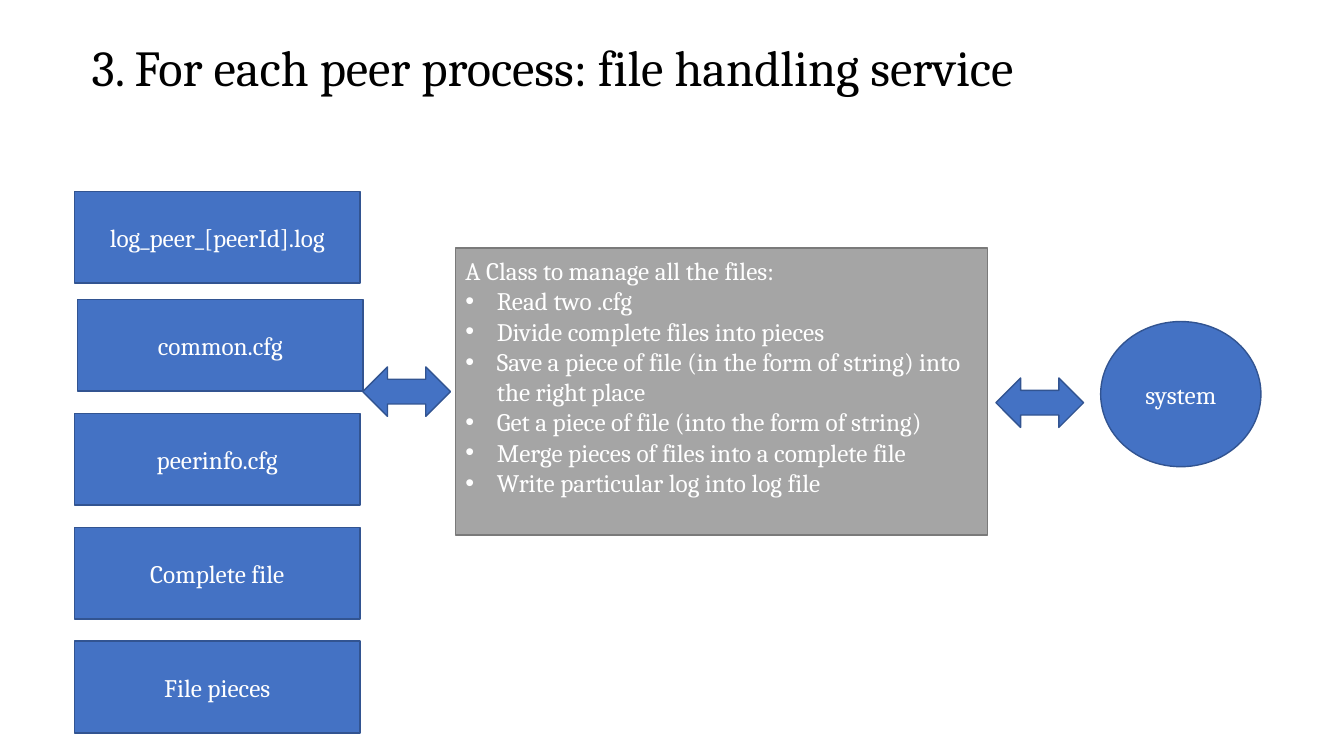
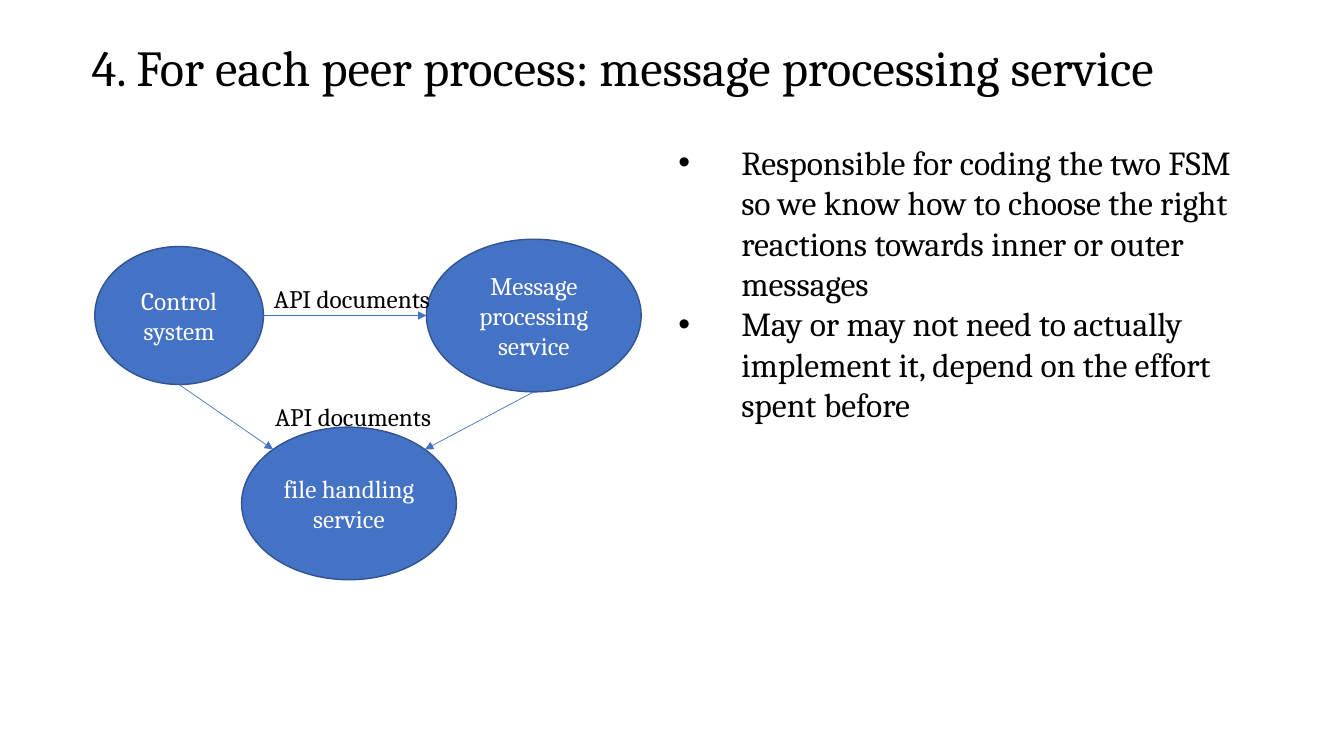
"""Build two slides on the file handling and message processing services of a peer process."""
import dataclasses

import lxml.etree
import pptx
import pptx.dml.color
import pptx.enum.shapes
import pptx.enum.text
import pptx.oxml.ns
import pptx.shapes.autoshape
import pptx.shapes.base
import pptx.slide
import pptx.text.text
import pptx.util

Pt = pptx.util.Pt
RGBColor = pptx.dml.color.RGBColor
Preset = pptx.enum.shapes.MSO_SHAPE
Align = pptx.enum.text.PP_ALIGN
Anchor = pptx.enum.text.MSO_ANCHOR
qn = pptx.oxml.ns.qn

FONT = "Cambria"
BLACK = RGBColor(0x00, 0x00, 0x00)
WHITE = RGBColor(0xFF, 0xFF, 0xFF)
BLUE = RGBColor(0x44, 0x72, 0xC4)
BLUE_EDGE = RGBColor(0x32, 0x54, 0x91)
GRAY = RGBColor(0xA5, 0xA5, 0xA5)
GRAY_EDGE = RGBColor(0x7A, 0x7A, 0x7A)

BOX_LEFT, BOX_WIDTH, BOX_HEIGHT = 53.3, 203.8, 65.5
BOX_TOP, BOX_PITCH = 213.8, 81.4
ARROW_WIDTH, ARROW_HEIGHT = 62.6, 35.3
SERVICE_WIDTH, SERVICE_HEIGHT = 153.4, 109

OVAL_SITES = {
    "top": (0, 0.5, 0),
    "top left": (1, 0.146, 0.146),
    "left": (2, 0, 0.5),
    "bottom": (4, 0.5, 1),
    "right": (6, 1, 0.5),
    "top right": (7, 0.854, 0.146),
}


@dataclasses.dataclass(frozen=True)
class Node:
    """A filled shape, placed in points, with one string per paragraph."""

    preset: Preset
    left: float
    top: float
    width: float
    height: float
    lines: tuple[str, ...] = ()
    fill: RGBColor = BLUE
    edge: RGBColor = BLUE_EDGE


@dataclasses.dataclass(frozen=True)
class Link:
    """An arrow between named sites of two ovals."""

    source: str
    source_site: str
    target: str
    target_site: str


FILE_NODES = [
    Node(Preset.RECTANGLE, BOX_LEFT, 136.8, BOX_WIDTH, BOX_HEIGHT, ("log_peer_[peerId].log",)),
    Node(Preset.RECTANGLE, BOX_LEFT + 2.2, BOX_TOP, BOX_WIDTH, BOX_HEIGHT, ("common.cfg",)),
] + [
    Node(Preset.RECTANGLE, BOX_LEFT, BOX_TOP + row * BOX_PITCH, BOX_WIDTH, BOX_HEIGHT, (name,))
    for row, name in enumerate(("peerinfo.cfg", "Complete file", "File pieces"), start=1)
]
EXCHANGE_NODES = [
    Node(Preset.OVAL, 786.2, 229.7, 114.5, 103.7, ("system",)),
    Node(Preset.LEFT_RIGHT_ARROW, 711.4, 270, ARROW_WIDTH, ARROW_HEIGHT),
    Node(Preset.LEFT_RIGHT_ARROW, 259.2, 262.1, ARROW_WIDTH, ARROW_HEIGHT),
]
MANAGER = Node(Preset.RECTANGLE, 325.4, 177.1, 380.2, 205.2, fill=GRAY, edge=GRAY_EDGE)
MANAGER_TASKS = (
    "Read two .cfg",
    "Divide complete files into pieces",
    "Save a piece of file (in the form of string) into the right place",
    "Get a piece of file (into the form of string)",
    "Merge pieces of files into a complete file",
    "Write particular log into log file",
)
SERVICES = {
    "control": Node(Preset.FLOWCHART_CONNECTOR, 67.7, 176.1, 120.5, 98.6, ("Control system",)),
    "message": Node(Preset.FLOWCHART_CONNECTOR, 304.6, 170.9, SERVICE_WIDTH, SERVICE_HEIGHT,
                    ("Message processing", "service")),
    "file": Node(Preset.FLOWCHART_CONNECTOR, 172.6, 305.1, SERVICE_WIDTH, SERVICE_HEIGHT,
                 ("file handling service",)),
}
LINKS = (
    Link("control", "right", "message", "left"),
    Link("control", "bottom", "file", "top left"),
    Link("message", "bottom", "file", "top right"),
)
DUTIES = (
    "Responsible for coding the two FSM so we know how to choose the right reactions "
    "towards inner or outer messages",
    "May or may not need to actually implement it, depend on the effort spent before",
)


def write_lines(frame: pptx.text.text.TextFrame, lines: tuple[str, ...], *, size: float = 18,
                color: RGBColor = BLACK, align: Align = Align.LEFT, indent: float = 0,
                plain_lines: int = 0) -> None:
    """Write paragraphs, bulleted after the plain lines when an indent is given."""
    for index, line in enumerate(lines):
        para = frame.paragraphs[0] if index == 0 else frame.add_paragraph()
        para.alignment = align
        span = para.add_run()
        span.text = line
        span.font.name = FONT
        span.font.size = Pt(size)
        span.font.color.rgb = color
        if indent and index >= plain_lines:
            properties = para._p.get_or_add_pPr()
            properties.set("marL", str(Pt(indent)))
            properties.set("indent", str(-Pt(indent)))
            lxml.etree.SubElement(properties, qn("a:buFont")).set("typeface", "Arial")
            lxml.etree.SubElement(properties, qn("a:buChar")).set("char", "•")


def add_text(page: pptx.slide.Slide, left: float, top: float, width: float, height: float,
             *lines: str, size: float = 18, indent: float = 0, wrap: bool = False) -> None:
    """Add a text box in black."""
    box = page.shapes.add_textbox(Pt(left), Pt(top), Pt(width), Pt(height))
    box.text_frame.word_wrap = wrap
    box.text_frame.auto_size = pptx.enum.text.MSO_AUTO_SIZE.SHAPE_TO_FIT_TEXT
    write_lines(box.text_frame, lines, size=size, indent=indent)


def add_node(page: pptx.slide.Slide, node: Node) -> pptx.shapes.autoshape.Shape:
    """Add a filled shape with centred white text."""
    shape = page.shapes.add_shape(node.preset, Pt(node.left), Pt(node.top),
                                  Pt(node.width), Pt(node.height))
    shape.shadow.inherit = False
    shape.fill.solid()
    shape.fill.fore_color.rgb = node.fill
    shape.line.color.rgb = node.edge
    shape.line.width = Pt(1)
    shape.text_frame.word_wrap = True
    shape.text_frame.vertical_anchor = Anchor.MIDDLE
    write_lines(shape.text_frame, node.lines, color=WHITE, align=Align.CENTER)
    return shape


def site_point(shape: pptx.shapes.base.BaseShape, site: str) -> tuple[int, int]:
    """Return the position of a connection site on an oval."""
    _, across, down = OVAL_SITES[site]
    return shape.left + round(shape.width * across), shape.top + round(shape.height * down)


def add_link(page: pptx.slide.Slide, ovals: dict[str, pptx.shapes.autoshape.Shape],
             link: Link) -> None:
    """Draw an arrow joined to the connection sites of two ovals."""
    source, target = ovals[link.source], ovals[link.target]
    connector = page.shapes.add_connector(
        pptx.enum.shapes.MSO_CONNECTOR.STRAIGHT,
        *site_point(source, link.source_site), *site_point(target, link.target_site))
    connector.line.color.rgb = BLUE
    connector.line.width = Pt(0.5)
    lxml.etree.SubElement(connector.line._get_or_add_ln(), qn("a:tailEnd")).set("type", "triangle")
    lxml.etree.SubElement(connector._element.spPr, qn("a:effectLst"))
    joints = connector._element.find(".//" + qn("p:cNvCxnSpPr"))
    for tag, shape, site in (("a:stCxn", source, link.source_site),
                             ("a:endCxn", target, link.target_site)):
        joint = lxml.etree.SubElement(joints, qn(tag))
        joint.set("id", str(shape.shape_id))
        joint.set("idx", str(OVAL_SITES[site][0]))


def add_page(deck: pptx.presentation.Presentation, title: str, title_width: float) -> pptx.slide.Slide:
    """Add a blank page with the shared title style."""
    page = deck.slides.add_slide(deck.slide_layouts[6])
    add_text(page, 58.3, 22.3, title_width, 51, title, size=36)
    return page


def build_file_page(deck: pptx.presentation.Presentation) -> None:
    """Build the page on the file handling service."""
    page = add_page(deck, "3. For each peer process: file handling service", 716.4)
    manager = add_node(page, MANAGER)
    manager.text_frame.margin_bottom = Pt(25.2)
    write_lines(manager.text_frame, ("A Class to manage all the files:", *MANAGER_TASKS),
                color=WHITE, indent=22.5, plain_lines=1)
    for node in EXCHANGE_NODES + FILE_NODES:
        add_node(page, node)


def build_message_page(deck: pptx.presentation.Presentation) -> None:
    """Build the page on the message processing service."""
    page = add_page(deck, "4. For each peer process: message processing service", 831.6)
    ovals = {name: add_node(page, node) for name, node in SERVICES.items()}
    for link in LINKS:
        add_link(page, ovals, link)
    for left, top in ((189.4, 283), (188.6, 198.7)):
        add_text(page, left, top, 131, 29, "API documents")
    add_text(page, 477.4, 97.9, 416.9, 211, *DUTIES, size=24, indent=45, wrap=True)


def main() -> None:
    """Build and save the deck."""
    deck = pptx.Presentation()
    deck.slide_width, deck.slide_height = Pt(960), Pt(540)
    build_file_page(deck)
    build_message_page(deck)
    deck.save("out.pptx")


if __name__ == "__main__":
    main()
